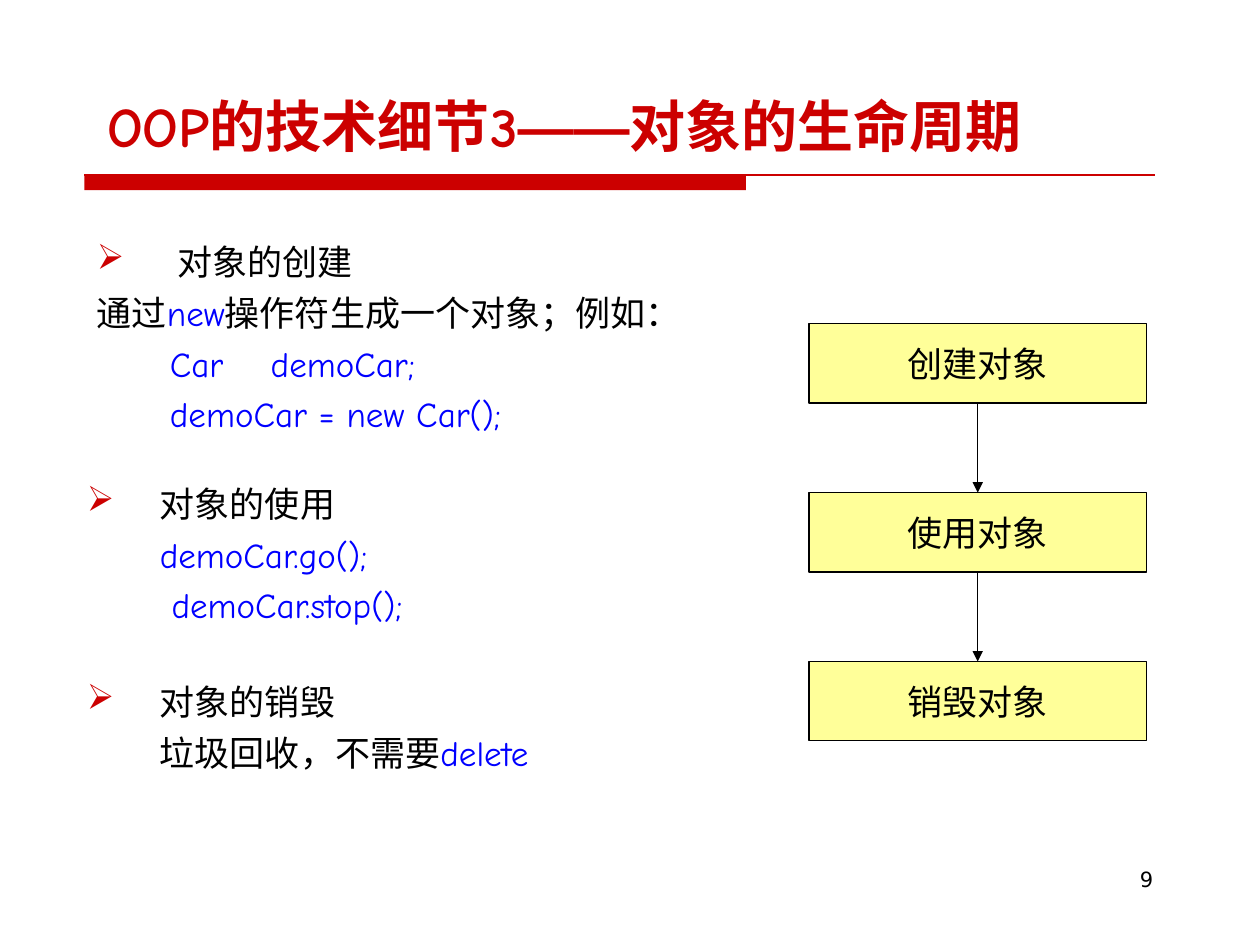
from lxml.etree import SubElement
from pptx import Presentation
from pptx.dml.color import RGBColor
from pptx.enum.shapes import MSO_CONNECTOR as CONN, MSO_SHAPE as SHAPE
from pptx.enum.text import MSO_ANCHOR as ANCHOR, PP_ALIGN as ALIGN
from pptx.oxml.ns import qn
from pptx.util import Inches, Pt

RED, BLUE, BLACK, YELLOW = "CC0000", "0000FF", "000000", "FFFF99"
HAND, SANS = "Comic Neue", "DejaVu Sans"
INDENT, CODE_TAB = 0.58, 1.38

TITLE = [("OOP的技术细节3", HAND), ("——", "Arial"), ("对象的生命周期", HAND)]
PAGE = "9"
STEPS = ["创建对象", "使用对象", "销毁对象"]
LISTS = [
    (0.67, 1.86, 1.64, [
        ("bullet", [(" 对象的创建", BLACK)]),
        ("plain", [("通过", BLACK), ("new", BLUE), ("操作符生成一个对象；例如：", BLACK)]),
        ("columns", [("Car\tdemoCar;", BLUE)]),
        ("indented", [("demoCar = new Car();", BLUE)]),
    ]),
    (0.59, 3.78, 1.24, [
        ("bullet", [("对象的使用", BLACK)]),
        ("indented", [("demoCar.go();", BLUE)]),
        ("indented", [(" demoCar.stop();", BLUE)]),
    ]),
    (0.59, 5.35, 0.84, [
        ("bullet", [("对象的销毁", BLACK)]),
        ("indented", [("垃圾回收，不需要", BLACK), ("delete", BLUE)]),
    ]),
]
MARGINS = {
    "bullet": (INDENT, -INDENT),
    "plain": (INDENT, -INDENT),
    "indented": (INDENT, 0),
    "columns": (CODE_TAB, INDENT - CODE_TAB),
}


def rgb(color):
    return RGBColor.from_string(color)


def add_text(p, text, size=20, font=HAND, color=BLACK, bold=False):
    r = p.add_run()
    r.text = text
    r.font.size, r.font.name, r.font.bold = Pt(size), font, bold
    r.font.color.rgb = rgb(color)


def add_box(x, y, w, h, fill):
    sp = slide.shapes.add_shape(SHAPE.RECTANGLE, Inches(x), Inches(y), Inches(w), Inches(h))
    sp.shadow.inherit = False
    sp.fill.solid()
    sp.fill.fore_color.rgb = rgb(fill)
    return sp


def add_line(x1, y1, x2, y2, color, arrow=False):
    line = slide.shapes.add_connector(
        CONN.STRAIGHT, Inches(x1), Inches(y1), Inches(x2), Inches(y2))
    line.line.width = Pt(0.75)
    line.line.color.rgb = rgb(color)
    if arrow:
        SubElement(line.line._get_or_add_ln(), qn("a:tailEnd"), type="triangle")
    SubElement(line._element.spPr, qn("a:effectLst"))


def add_text_box(x, y, w, h):
    tf = slide.shapes.add_textbox(Inches(x), Inches(y), Inches(w), Inches(h)).text_frame
    tf.word_wrap = True
    return tf


def format_item(p, style):
    p.space_before = Pt(5)
    left, first = MARGINS[style]
    pPr = p._p.get_or_add_pPr()
    pPr.set("marL", str(Inches(left)))
    pPr.set("indent", str(Inches(first)))
    if style == "bullet":
        SubElement(SubElement(pPr, qn("a:buClr")), qn("a:srgbClr"), val=RED)
        SubElement(pPr, qn("a:buChar"), char="➢")


prs = Presentation()
prs.slide_width, prs.slide_height = Inches(10), Inches(7.5)
slide = prs.slides.add_slide(prs.slide_layouts[5])

add_box(0.67, 1.39, 5.25, 0.12, RED).line.fill.background()
add_line(0.67, 1.39, 9.17, 1.39, RED)

title = slide.shapes.title
title.left, title.top, title.width, title.height = map(Inches, (0.75, 0.44, 8.5, 0.87))
title.text_frame.vertical_anchor = ANCHOR.BOTTOM
p = title.text_frame.paragraphs[0]
p.alignment = ALIGN.LEFT
for text, font in TITLE:
    add_text(p, text, size=32, font=font, color=RED, bold=True)

p = add_text_box(7.17, 6.83, 2.08, 0.5).paragraphs[0]
p.alignment = ALIGN.RIGHT
add_text(p, PAGE, size=12, font=SANS)

step_x, step_y, step_w, step_h, pitch = 6.42, 2.57, 2.68, 0.63, 1.34
for i, step in enumerate(STEPS):
    y = step_y + i * pitch
    sp = add_box(step_x, y, step_w, step_h, YELLOW)
    sp.line.color.rgb = rgb(BLACK)
    sp.line.width = Pt(0.75)
    tf = sp.text_frame
    tf.word_wrap = False
    tf.vertical_anchor = ANCHOR.MIDDLE
    tf.paragraphs[0].alignment = ALIGN.CENTER
    add_text(tf.paragraphs[0], step, font=SANS)
    if i:
        mid = step_x + step_w / 2
        add_line(mid, y - pitch + step_h, mid, y, BLACK, arrow=True)

for x, y, h, items in LISTS:
    tf = add_text_box(x, y, 5.12, h)
    for i, (style, parts) in enumerate(items):
        p = tf.add_paragraph() if i else tf.paragraphs[0]
        format_item(p, style)
        for text, color in parts:
            add_text(p, text, color=color)

prs.save("out.pptx")
